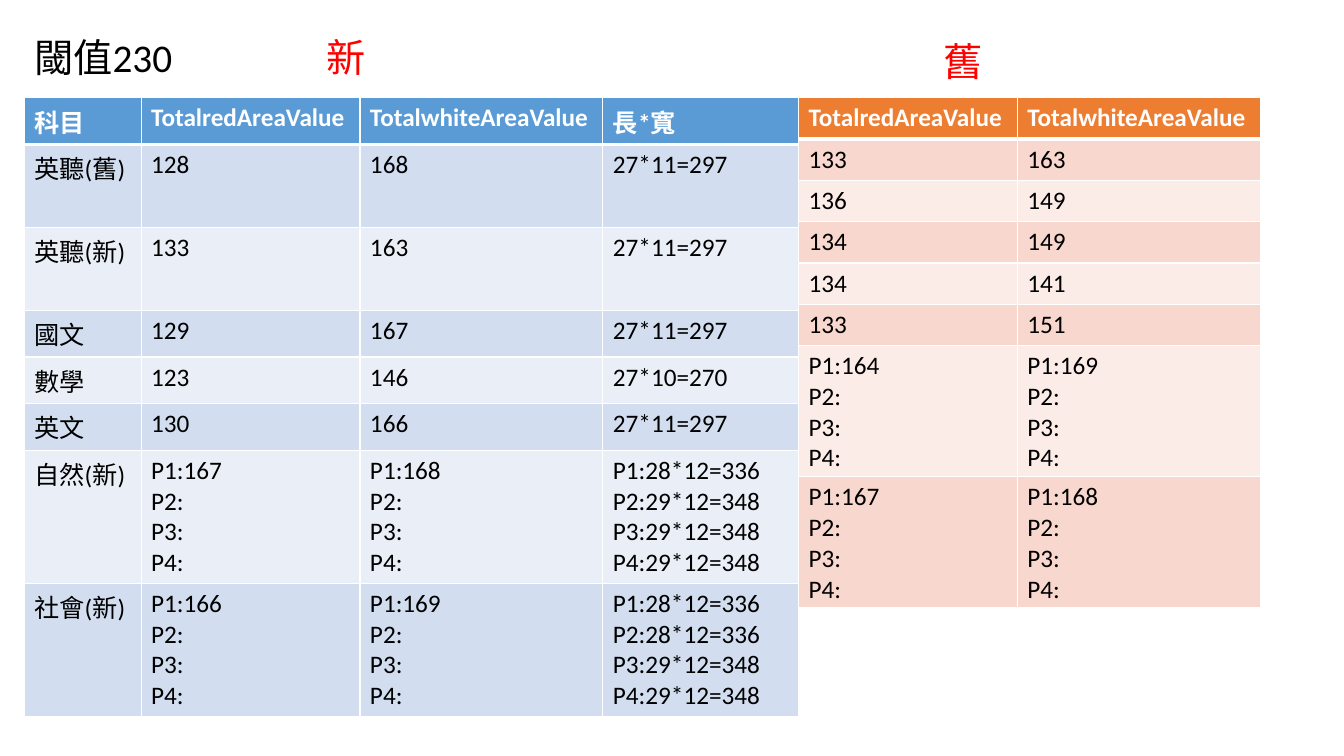
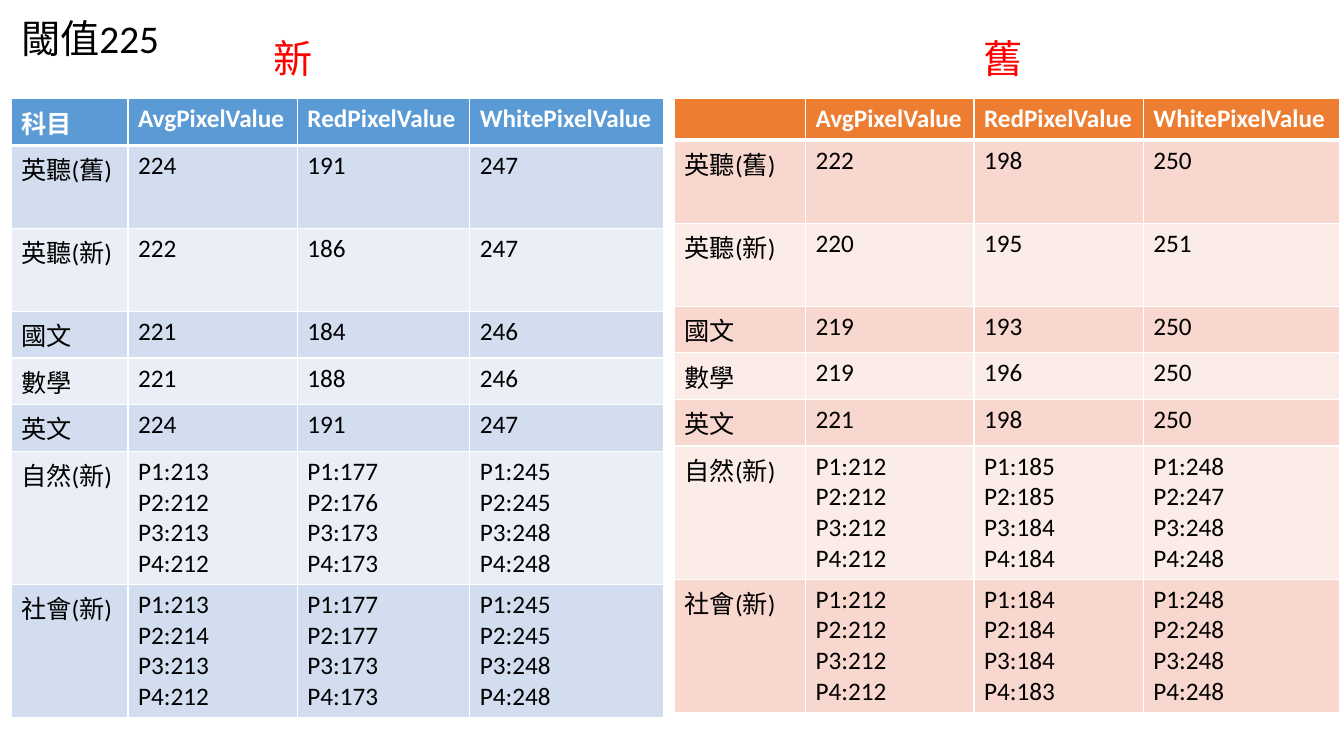
from lxml.etree import SubElement
from pptx import Presentation
from pptx.dml.color import RGBColor
from pptx.enum.text import MSO_ANCHOR, PP_ALIGN
from pptx.oxml.ns import qn
from pptx.util import Inches, Pt

BLACK = RGBColor(0x00, 0x00, 0x00)
WHITE = RGBColor(0xFF, 0xFF, 0xFF)
RED = RGBColor(0xFF, 0x00, 0x00)
BLUE_BANDS = (
    RGBColor(0x5B, 0x9B, 0xD5),
    RGBColor(0xD2, 0xDE, 0xEF),
    RGBColor(0xEA, 0xEF, 0xF7),
)
ORANGE_BANDS = (
    RGBColor(0xED, 0x7D, 0x31),
    RGBColor(0xF8, 0xD7, 0xCE),
    RGBColor(0xFC, 0xEC, 0xE8),
)
FONT = "Calibri"
LABEL_SIZE = (2.68, 0.64)
ROW_HEIGHT = 0.41

SUBJECTS = ["英聽(舊)", "英聽(新)", "國文", "數學", "英文", "自然(新)", "社會(新)"]
AREA_HEADERS = ["TotalredAreaValue", "TotalwhiteAreaValue"]
PIXEL_HEADERS = ["AvgPixelValue", "RedPixelValue", "WhitePixelValue"]


def pages(*values):
    """Return the text of a cell with one line for each of four pages."""
    padded = values + ("",) * (4 - len(values))
    return "\n".join(f"P{number}:{value}" for number, value in enumerate(padded, 1))


def style_paragraph(paragraph, size, color, bold=False):
    """Give a paragraph its font, size, colour and weight."""
    paragraph.font.name = FONT
    paragraph.font.size = Pt(size)
    paragraph.font.color.rgb = color
    paragraph.font.bold = bold


def write_label(shape, left, top, text, color):
    """Place a shape as a large label and write its text."""
    width, height = LABEL_SIZE
    shape.left, shape.top = Inches(left), Inches(top)
    shape.width, shape.height = Inches(width), Inches(height)
    frame = shape.text_frame
    frame.text = text
    frame.word_wrap = True
    frame.vertical_anchor = MSO_ANCHOR.TOP
    paragraph = frame.paragraphs[0]
    paragraph.alignment = PP_ALIGN.LEFT
    paragraph.line_spacing = 0.9
    paragraph.space_before = Pt(10)
    style_paragraph(paragraph, 28, color)


def add_version_label(slide, left, top, text):
    """Add the red label above a table."""
    shape = slide.shapes.add_textbox(0, 0, 0, 0)
    write_label(shape, left, top, text, RED)


def set_borders(cell, bottom_width):
    """Draw white lines around a cell."""
    properties = cell._tc.get_or_add_tcPr()
    for side, width in (("L", 1), ("R", 1), ("T", 1), ("B", bottom_width)):
        line = SubElement(properties, qn(f"a:ln{side}"), w=str(Pt(width)))
        fill = SubElement(line, qn("a:solidFill"))
        SubElement(fill, qn("a:srgbClr"), val=str(WHITE))


def add_banded_table(slide, left, top, widths, headers, columns, bands):
    """Add a table with a coloured header and alternating rows."""
    rows = [headers, *zip(*columns)]
    frame = slide.shapes.add_table(
        len(rows), len(headers), Inches(left), Inches(top),
        Inches(sum(widths)), Inches(ROW_HEIGHT * len(rows)))
    table = frame.table
    for column, width in zip(table.columns, widths):
        column.width = Inches(width)
    header_color, odd_color, even_color = bands
    for row_index, row in enumerate(rows):
        is_header = row_index == 0
        band = header_color if is_header else odd_color if row_index % 2 else even_color
        for column_index, text in enumerate(row):
            cell = table.cell(row_index, column_index)
            set_borders(cell, 3 if is_header else 1)
            cell.fill.solid()
            cell.fill.fore_color.rgb = band
            cell.text_frame.text = text
            for paragraph in cell.text_frame.paragraphs:
                style_paragraph(paragraph, 18, WHITE if is_header else BLACK, is_header)


def add_titled_slide(presentation, left, top, title):
    """Add a slide with its threshold title."""
    slide = presentation.slides.add_slide(presentation.slide_layouts[5])
    write_label(slide.shapes.title, left, top, title, BLACK)
    return slide


def add_area_slide(presentation):
    """Add the slide that compares red and white areas."""
    slide = add_titled_slide(presentation, 0.24, 0.33, "閾值230")
    new_columns = [
        SUBJECTS,
        ["128", "133", "129", "123", "130", pages("167"), pages("166")],
        ["168", "163", "167", "146", "166", pages("168"), pages("169")],
        ["27*11=297", "27*11=297", "27*11=297", "27*10=270", "27*11=297",
         pages("28*12=336", "29*12=348", "29*12=348", "29*12=348"),
         pages("28*12=336", "28*12=336", "29*12=348", "29*12=348")],
    ]
    old_columns = [
        ["133", "136", "134", "134", "133", pages("164"), pages("167")],
        ["163", "149", "149", "141", "151", pages("169"), pages("168")],
    ]
    add_banded_table(slide, 0.24, 0.97, [1.16, 2.17, 2.41, 1.94],
                     ["科目", *AREA_HEADERS, "長*寬"], new_columns, BLUE_BANDS)
    add_version_label(slide, 3.14, 0.33, "新")
    add_banded_table(slide, 7.92, 0.97, [2.17, 2.41],
                     AREA_HEADERS, old_columns, ORANGE_BANDS)
    add_version_label(slide, 9.26, 0.37, "舊")


def add_pixel_slide(presentation):
    """Add the slide that compares pixel values."""
    slide = add_titled_slide(presentation, 0.11, 0.14, "閾值225")
    new_columns = [
        SUBJECTS,
        ["224", "222", "221", "221", "224",
         pages(213, 212, 213, 212), pages(213, 214, 213, 212)],
        ["191", "186", "184", "188", "191",
         pages(177, 176, 173, 173), pages(177, 177, 173, 173)],
        ["247", "247", "246", "246", "247",
         pages(245, 245, 248, 248), pages(245, 245, 248, 248)],
    ]
    old_columns = [
        SUBJECTS,
        ["222", "220", "219", "219", "221",
         pages(212, 212, 212, 212), pages(212, 212, 212, 212)],
        ["198", "195", "193", "196", "198",
         pages(185, 185, 184, 184), pages(184, 184, 184, 183)],
        ["250", "251", "250", "250", "250",
         pages(248, 247, 248, 248), pages(248, 248, 248, 248)],
    ]
    add_banded_table(slide, 0.11, 0.98, [1.16, 1.68, 1.71, 1.92],
                     ["科目", *PIXEL_HEADERS], new_columns, BLUE_BANDS)
    add_banded_table(slide, 6.69, 0.98, [1.3, 1.67, 1.68, 1.95],
                     ["", *PIXEL_HEADERS], old_columns, ORANGE_BANDS)
    add_version_label(slide, 2.61, 0.34, "新")
    add_version_label(slide, 9.66, 0.34, "舊")


def main():
    """Build and save the presentation."""
    presentation = Presentation()
    presentation.slide_width = Inches(13.33)
    presentation.slide_height = Inches(7.5)
    add_area_slide(presentation)
    add_pixel_slide(presentation)
    presentation.save("out.pptx")


if __name__ == "__main__":
    main()
